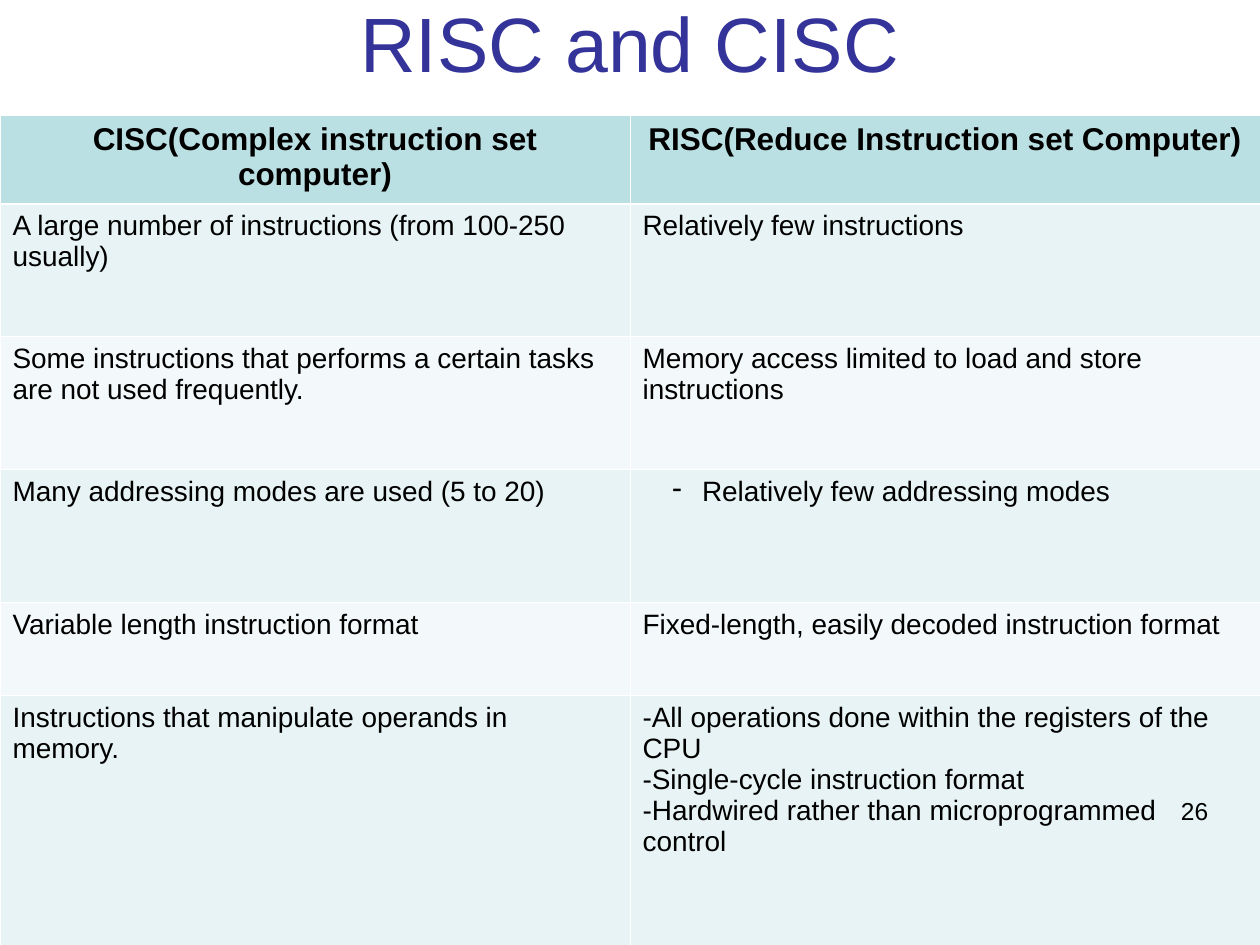
import pptx
import pptx.util
import pptx.dml.color
import pptx.enum.text
import pptx.oxml
import pptx.oxml.ns
from lxml import etree

Pt = pptx.util.Pt
RGBColor = pptx.dml.color.RGBColor
PP_ALIGN = pptx.enum.text.PP_ALIGN
qn = pptx.oxml.ns.qn

# Content
HEADING = "RISC and CISC"
PAGE_NUMBER = "26"
BULLETED = "Relatively few addressing modes"
COMPARISON = [
    ("CISC(Complex instruction set computer)",
     "RISC(Reduce Instruction set Computer)"),
    ("A large number of instructions (from 100-250 usually)",
     "Relatively few instructions"),
    ("Some instructions that performs a certain tasks are not used frequently.",
     "Memory access limited to load and store instructions"),
    ("Many addressing modes are used (5 to 20)", BULLETED),
    ("Variable length instruction format",
     "Fixed-length, easily decoded instruction format"),
    ("Instructions that manipulate operands in memory.",
     "-All operations done within the registers of the CPU\n"
     "-Single-cycle instruction format\n"
     "-Hardwired rather than microprogrammed control"),
]

# Layout and look
SLIDE_W, SLIDE_H = 720, 540
TABLE_TOP = 66
ROW_HEIGHTS = [50.4, 76, 76, 76, 53.2, 144]
FONT = "Arial"
INDIGO = RGBColor(0x33, 0x33, 0x99)
BLACK = RGBColor(0, 0, 0)
WHITE = RGBColor(0xFF, 0xFF, 0xFF)
HEADER_TEAL = RGBColor(0xBB, 0xE0, 0xE3)
BANDS = [RGBColor(0xF3, 0xF9, 0xFA), RGBColor(0xE7, 0xF3, 0xF4)]
THIN, THICK = 0.45, 1.47


def format_text(paragraph, size, color, align, bold=False):
    paragraph.alignment = align
    for run in paragraph.runs:
        run.font.name = FONT
        run.font.size = Pt(size)
        run.font.bold = bold
        run.font.color.rgb = color


def set_indent(paragraph, left, first, bullet=None):
    properties = paragraph._p.get_or_add_pPr()
    properties.set("marL", str(Pt(left)))
    properties.set("indent", str(Pt(first)))
    if bullet:
        etree.SubElement(properties, qn("a:buChar")).set("char", bullet)


def set_borders(cell, top, bottom):
    properties = cell._tc.get_or_add_tcPr()
    widths = {"L": THIN, "R": THIN, "T": top, "B": bottom}
    for position, (side, width) in enumerate(widths.items()):
        line = etree.Element(qn("a:ln" + side), w=str(Pt(width)))
        fill = etree.SubElement(line, qn("a:solidFill"))
        etree.SubElement(fill, qn("a:srgbClr")).set("val", str(WHITE))
        properties.insert(position, line)


deck = pptx.Presentation()
deck.slide_width, deck.slide_height = Pt(SLIDE_W), Pt(SLIDE_H)
slide = deck.slides.add_slide(deck.slide_layouts[5])

# Title
heading = slide.shapes.title
heading.left, heading.top = Pt(0), Pt(-21)
heading.width, heading.height = Pt(SLIDE_W), Pt(89.5)
heading.text_frame.text = HEADING
heading.text_frame.auto_size = pptx.enum.text.MSO_AUTO_SIZE.NONE
heading.text_frame.vertical_anchor = pptx.enum.text.MSO_ANCHOR.MIDDLE
format_text(heading.text_frame.paragraphs[0], 44, INDIGO, PP_ALIGN.CENTER)

# Comparison table
comparison = slide.shapes.add_table(
    len(COMPARISON), 2, Pt(0), Pt(TABLE_TOP), Pt(SLIDE_W), Pt(sum(ROW_HEIGHTS))
).table
comparison.horz_banding = False
for r, (height, entries) in enumerate(zip(ROW_HEIGHTS, COMPARISON)):
    comparison.rows[r].height = Pt(height)
    header = r == 0
    for c, entry in enumerate(entries):
        cell = comparison.cell(r, c)
        cell.text_frame.text = entry
        cell.fill.solid()
        cell.fill.fore_color.rgb = HEADER_TEAL if header else BANDS[r % 2]
        set_borders(cell, THICK if r == 1 else THIN, THICK if header else THIN)
        for paragraph in cell.text_frame.paragraphs:
            if entry == BULLETED:
                paragraph.level = 1
                set_indent(paragraph, 34, -17, "-")
            elif "\n" in entry:
                paragraph.level = 1
                set_indent(paragraph, 0, 0)
            if header:
                format_text(paragraph, 18, BLACK, PP_ALIGN.CENTER, True)
            else:
                format_text(paragraph, 16, BLACK, PP_ALIGN.LEFT)

# Page number
page_number = slide.shapes.add_textbox(Pt(511), Pt(451.5), Pt(186.5), Pt(37.5))
page_number.text_frame.word_wrap = True
page_number.text_frame.text = PAGE_NUMBER
format_text(page_number.text_frame.paragraphs[0], 14, BLACK, PP_ALIGN.RIGHT)

deck.save("out.pptx")
